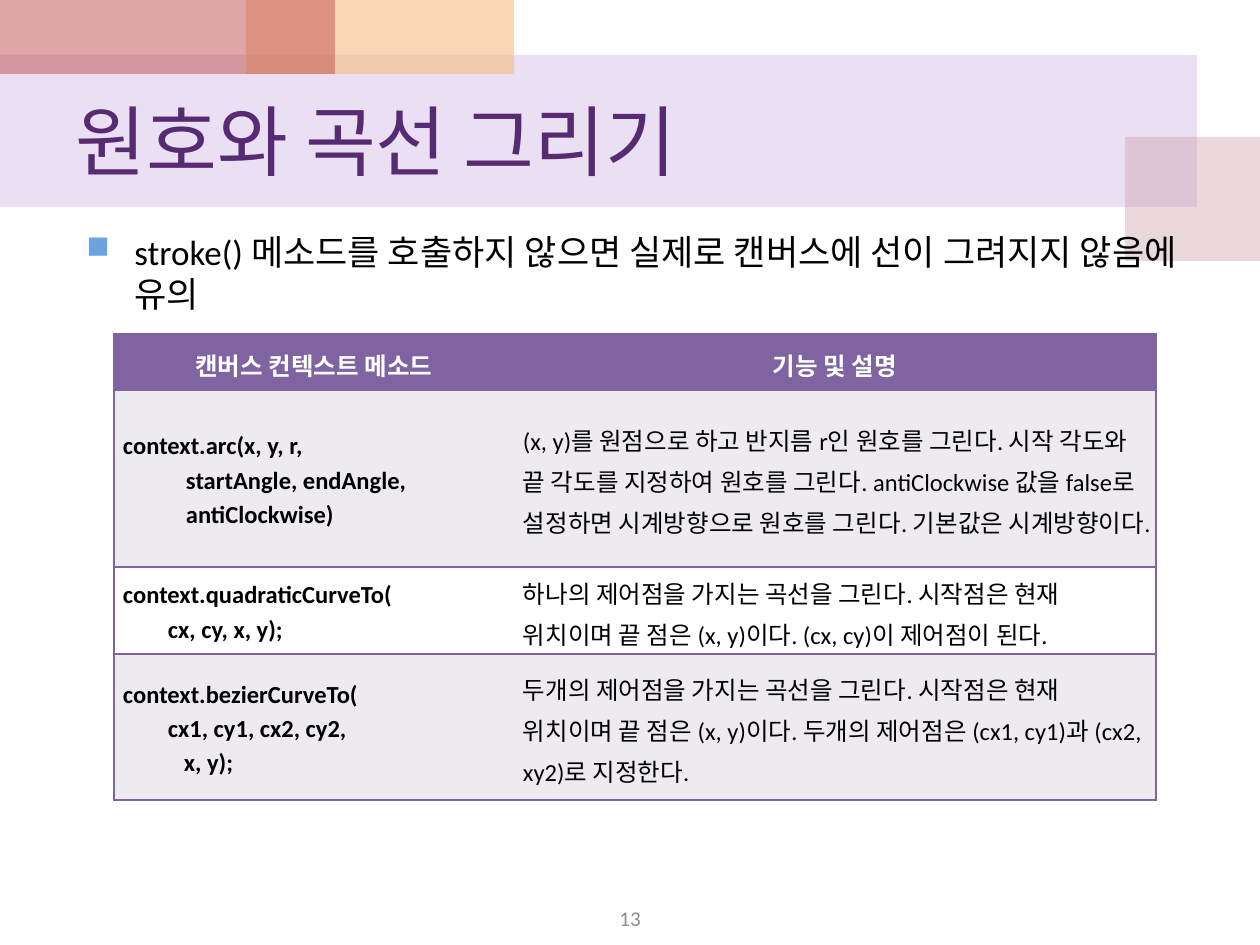
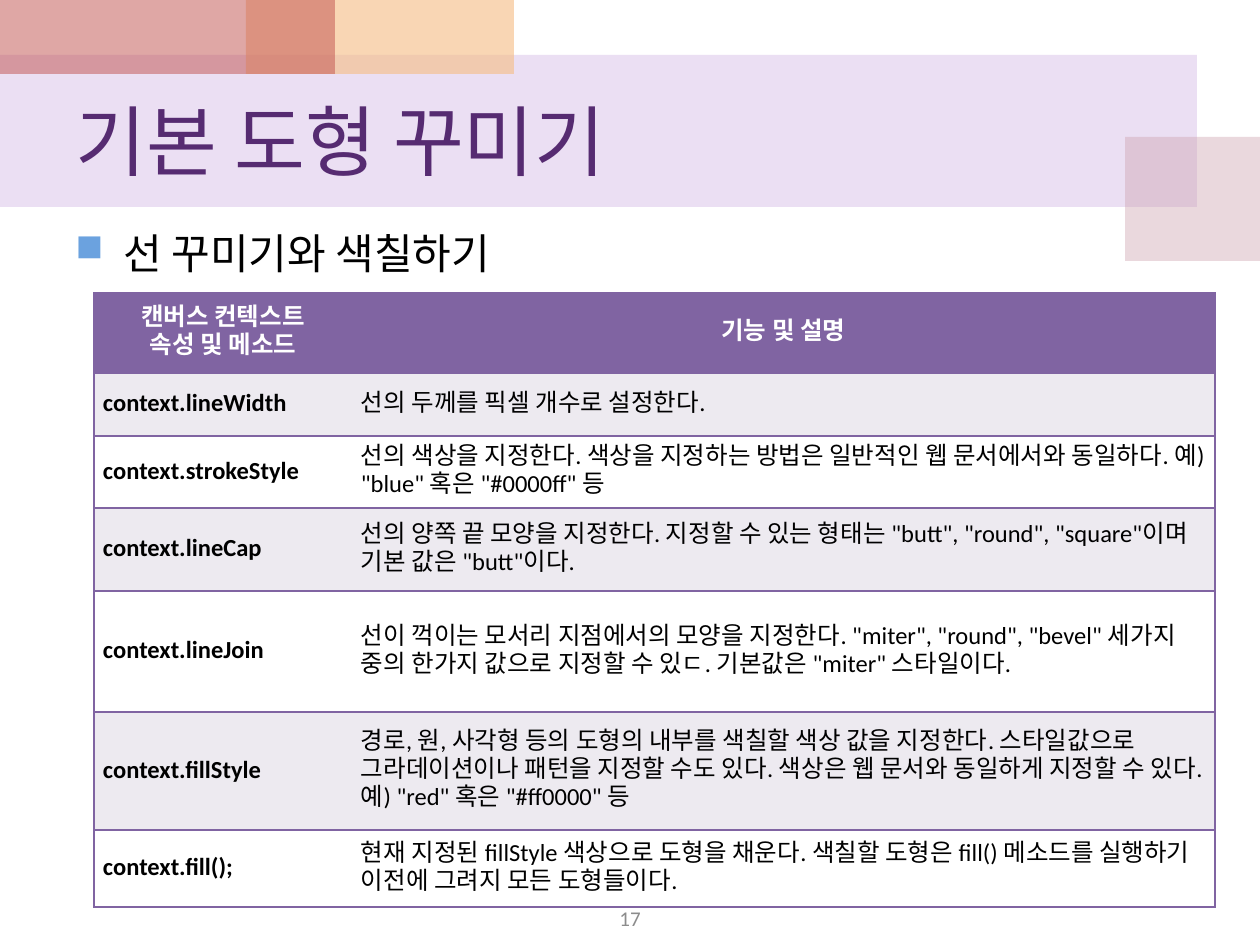
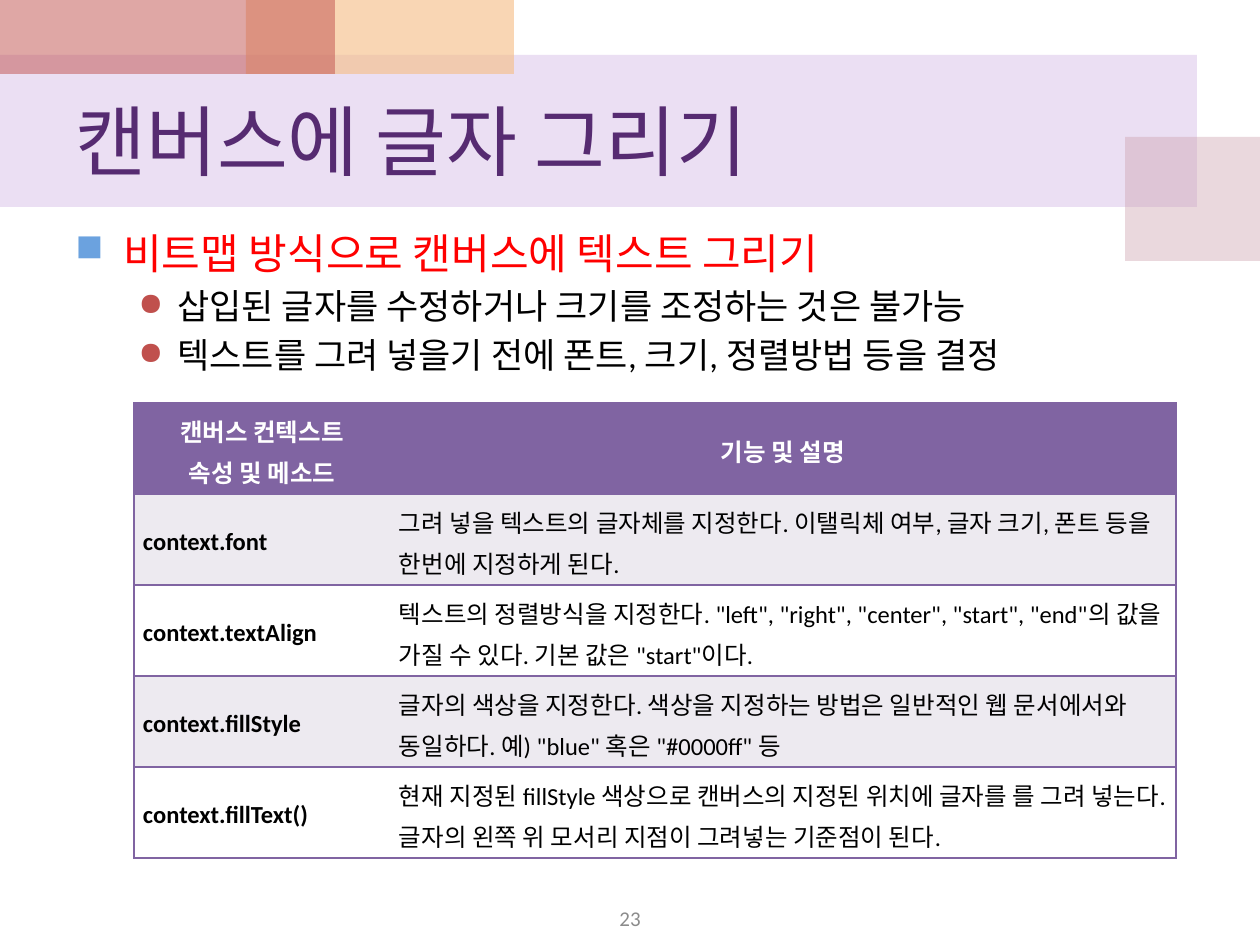
from dataclasses import dataclass

from lxml import etree
from pptx import Presentation
from pptx.dml.color import RGBColor
from pptx.enum.shapes import MSO_SHAPE
from pptx.enum.text import MSO_ANCHOR, PP_ALIGN
from pptx.oxml.ns import qn
from pptx.util import Emu, Pt

RECTANGLE = MSO_SHAPE.RECTANGLE
MIDDLE, TOP = MSO_ANCHOR.MIDDLE, MSO_ANCHOR.TOP
LEFT, CENTER = PP_ALIGN.LEFT, PP_ALIGN.CENTER
PX_PER_INCH = 126
SLIDE_SIZE = (1260, 945)
TITLE_BOX = (63, 74, 1134, 132)
PAGE_NUMBER_BOX = (483, 901, 294, 34)
PLAIN_TABLE_STYLE = "{2D5ABB26-0587-4C30-8999-92F81FD0307C}"


@dataclass(frozen=True)
class Theme:
    """Colours and type sizes shared by all slides."""
    font: str = "Calibri"
    title: str = "562B71"
    text: str = "000000"
    emphasis: str = "FF0000"
    page_number: str = "8C8C8C"
    square: str = "6BA2DF"
    dot: str = "C0504D"
    header: str = "8064A2"
    header_text: str = "FFFFFF"
    row_fills: tuple = ("EDEAF0", "FFFFFF")
    title_size: int = 44
    topic_size: int = 24
    detail_size: int = 20
    table_size: int = 14
    page_number_size: int = 12


THEME = Theme()
BANDS = [
    ((0, 55, 1197, 152), "BF98D8", 30),
    ((1125, 137, 135, 124), "CC9EAC", 40),
    ((246, 0, 268, 74), "F5BC83", 60),
    ((0, 0, 335, 74), "C0504D", 50),
]
BULLETS = [("■", THEME.square, 48, 48), ("●", THEME.dot, 102, 39)]


def px(length):
    """Turn pixels into EMU."""
    return Emu(round(length * 914400 / PX_PER_INCH))


def add_xml(parent, tag, **attributes):
    """Append a drawing element and return it."""
    return etree.SubElement(parent, qn(tag), attributes)


def style(paragraph, size, color, bold=False, align=LEFT):
    """Set the type of a paragraph."""
    font = paragraph.font
    font.name, font.size, font.bold = THEME.font, Pt(size), bold
    font.color.rgb = RGBColor.from_string(color)
    paragraph.alignment = align


def fill_paragraphs(frame, texts):
    """Write one paragraph per text and return the paragraphs."""
    frame.text = "\n".join(texts)
    return frame.paragraphs


def add_text_frame(slide, box, anchor):
    """Add a wrapping text box and return its frame."""
    frame = slide.shapes.add_textbox(*map(px, box)).text_frame
    frame.word_wrap = True
    frame.vertical_anchor = anchor
    return frame


def add_label(slide, box, text, size, color, align=LEFT):
    """Add a single vertically centred line of text."""
    frame = add_text_frame(slide, box, MIDDLE)
    style(fill_paragraphs(frame, [text])[0], size, color, align=align)


def add_bands(slide):
    """Draw the translucent bands behind the title."""
    for box, color, opacity in BANDS:
        band = slide.shapes.add_shape(RECTANGLE, *map(px, box))
        band.shadow.inherit = False
        band.line.fill.background()
        band.fill.solid()
        band.fill.fore_color.rgb = RGBColor.from_string(color)
        tint = band.element.spPr.find(".//" + qn("a:srgbClr"))
        add_xml(tint, "a:alpha", val=str(opacity * 1000))


def add_bullet(paragraph, level):
    """Give a paragraph the marker and indent of its level."""
    marker, color, margin, hanging = BULLETS[level]
    properties = paragraph._p.get_or_add_pPr()
    properties.set("marL", str(px(margin)))
    properties.set("indent", str(px(-hanging)))
    add_xml(add_xml(properties, "a:buClr"), "a:srgbClr", val=color)
    add_xml(properties, "a:buSzPct", val="90000")
    add_xml(properties, "a:buChar", char=marker)


def add_points(slide, box, points):
    """Write bulleted points given as text, level, size and colour."""
    frame = add_text_frame(slide, box, TOP)
    paragraphs = fill_paragraphs(frame, [point[0] for point in points])
    for paragraph, (_, level, size, color) in zip(paragraphs, points):
        paragraph.level = level
        add_bullet(paragraph, level)
        paragraph.space_before = Pt(size / 5)
        style(paragraph, size, color)


def add_borders(cell, sides):
    """Rule the given sides of a cell."""
    properties = cell._tc.get_or_add_tcPr()
    for side in sides:
        rule = add_xml(properties, f"a:ln{side}", w=str(Pt(1)))
        add_xml(add_xml(rule, "a:solidFill"), "a:srgbClr", val=THEME.header)


def fill_cell(cell, lines, fill, spacing, **type_style):
    """Fill a cell with lines given as text and first-line indent."""
    cell.vertical_anchor = MIDDLE
    cell.margin_left = cell.margin_right = px(9)
    cell.margin_top = cell.margin_bottom = 0
    cell.fill.solid()
    cell.fill.fore_color.rgb = RGBColor.from_string(fill)
    paragraphs = fill_paragraphs(cell.text_frame, [text for text, _ in lines])
    for paragraph, (_, indent) in zip(paragraphs, lines):
        paragraph.line_spacing = spacing
        paragraph._p.get_or_add_pPr().set("indent", str(px(indent)))
        style(paragraph, THEME.table_size, **type_style)


def add_method_table(slide, origin, widths, heights, rows, spacing):
    """Add a table of methods and descriptions under a header row."""
    box = (*origin, sum(widths), sum(heights))
    frame = slide.shapes.add_table(len(rows), len(widths), *map(px, box))
    frame.element.find(".//" + qn("a:tableStyleId")).text = PLAIN_TABLE_STYLE
    table = frame.table
    for column, width in zip(table.columns, widths):
        column.width = px(width)
    for index, (row, height, texts) in enumerate(zip(table.rows, heights, rows)):
        row.height = px(height)
        for cell, lines, sides, is_method in zip(
                row.cells, texts, ("LTB", "RTB"), (True, False)):
            add_borders(cell, sides)
            if index == 0:
                fill_cell(cell, lines, THEME.header, spacing,
                          color=THEME.header_text, bold=True, align=CENTER)
            else:
                fill_cell(cell, lines, THEME.row_fills[(index - 1) % 2], spacing,
                          color=THEME.text, bold=is_method)


def plain(*texts):
    """Return lines without indent."""
    return [(text, 0) for text in texts]


def plain_rows(*pairs):
    """Return table rows of a one-line method and its description."""
    return [(plain(method), plain(description)) for method, description in pairs]


def add_content_slide(presentation, title, number, points_origin, points, **table):
    """Add a slide with a title, points, a method table and a page number."""
    slide = presentation.slides.add_slide(presentation.slide_layouts[6])
    add_bands(slide)
    add_label(slide, TITLE_BOX, title, THEME.title_size, THEME.title)
    add_points(slide, (*points_origin, 1134, 624), points)
    add_label(slide, PAGE_NUMBER_BOX, number, THEME.page_number_size,
              THEME.page_number, CENTER)
    add_method_table(slide, **table)


DESCRIPTION_HEADER = plain("기능 및 설명")
PROPERTY_HEADER = (plain("캔버스 컨텍스트", "속성 및 메소드"), DESCRIPTION_HEADER)

CURVE_ROWS = [
    (plain("캔버스 컨텍스트 메소드"), DESCRIPTION_HEADER),
    ([("context.arc(x, y, r,", 0), ("startAngle, endAngle,", 63),
      ("antiClockwise)", 63)],
     plain("(x, y)를 원점으로 하고 반지름 r인 원호를 그린다. 시작 각도와 끝 각도를 "
           "지정하여 원호를 그린다. antiClockwise 값을 false로 설정하면 "
           "시계방향으로 원호를 그린다. 기본값은 시계방향이다.")),
    ([("context.quadraticCurveTo(", 0), ("cx, cy, x, y);", 45)],
     plain("하나의 제어점을 가지는 곡선을 그린다. 시작점은 현재 위치이며 "
           "끝 점은 (x, y)이다. (cx, cy)이 제어점이 된다.")),
    ([("context.bezierCurveTo(", 0), ("cx1, cy1, cx2, cy2,", 45), ("x, y);", 61)],
     plain("두개의 제어점을 가지는 곡선을 그린다. 시작점은 현재 위치이며 끝 점은 "
           "(x, y)이다. 두개의 제어점은 (cx1, cy1)과 (cx2, xy2)로 지정한다.")),
]

STYLE_ROWS = [PROPERTY_HEADER] + plain_rows(
    ("context.lineWidth", "선의 두께를 픽셀 개수로 설정한다."),
    ("context.strokeStyle",
     "선의 색상을 지정한다. 색상을 지정하는 방법은 일반적인 웹 문서에서와 "
     "동일하다. 예) \"blue\" 혹은 \"#0000ff\" 등"),
    ("context.lineCap",
     "선의 양쪽 끝 모양을 지정한다. 지정할 수 있는 형태는 \"butt\", \"round\", "
     "\"square\"이며 기본 값은 \"butt\"이다."),
    ("context.lineJoin",
     "선이 꺽이는 모서리 지점에서의 모양을 지정한다. \"miter\", \"round\", "
     "\"bevel\" 세가지 중의 한가지 값으로 지정할 수 있ㄷ. "
     "기본값은 \"miter\" 스타일이다."),
    ("context.fillStyle",
     "경로, 원, 사각형 등의 도형의 내부를 색칠할 색상 값을 지정한다. "
     "스타일값으로 그라데이션이나 패턴을 지정할 수도 있다. 색상은 웹 문서와 "
     "동일하게 지정할 수 있다. 예) \"red\" 혹은 \"#ff0000\" 등"),
    ("context.fill();",
     "현재 지정된 fillStyle 색상으로 도형을 채운다. 색칠할 도형은 fill() "
     "메소드를 실행하기 이전에 그려지 모든 도형들이다."),
)

LETTER_ROWS = [PROPERTY_HEADER] + plain_rows(
    ("context.font",
     "그려 넣을 텍스트의 글자체를 지정한다. 이탤릭체 여부, 글자 크기, 폰트 "
     "등을 한번에 지정하게 된다."),
    ("context.textAlign",
     "텍스트의 정렬방식을 지정한다. \"left\", \"right\", \"center\", \"start\", "
     "\"end\"의 값을 가질 수 있다. 기본 값은 \"start\"이다."),
    ("context.fillStyle",
     "글자의 색상을 지정한다. 색상을 지정하는 방법은 일반적인 웹 문서에서와 "
     "동일하다. 예) \"blue\" 혹은 \"#0000ff\" 등"),
    ("context.fillText()",
     "현재 지정된 fillStyle 색상으로 캔버스의 지정된 위치에 글자를 를 그려 "
     "넣는다. 글자의 왼쪽 위 모서리 지점이 그려넣는 기준점이 된다."),
)


def main():
    """Build and save the three slides."""
    presentation = Presentation()
    presentation.slide_width, presentation.slide_height = map(px, SLIDE_SIZE)
    add_content_slide(
        presentation, "원호와 곡선 그리기", "13", (74, 224),
        [("stroke() 메소드를 호출하지 않으면 실제로 캔버스에 선이 그려지지 "
          "않음에 유의", 0, THEME.detail_size, THEME.text)],
        origin=(114, 334), widths=(400, 642), heights=(56, 177, 87, 146),
        rows=CURVE_ROWS, spacing=1.15)
    add_content_slide(
        presentation, "기본 도형 꾸미기", "17", (63, 221),
        [("선 꾸미기와 색칠하기", 0, THEME.topic_size, THEME.text)],
        origin=(94, 293), widths=(258, 863),
        heights=(80, 63, 72, 83, 121, 118, 77),
        rows=STYLE_ROWS, spacing=Pt(16))
    add_content_slide(
        presentation, "캔버스에 글자 그리기", "23", (63, 221),
        [("비트맵 방식으로 캔버스에 텍스트 그리기", 0,
          THEME.topic_size, THEME.emphasis),
         ("삽입된 글자를 수정하거나 크기를 조정하는 것은 불가능", 1,
          THEME.detail_size, THEME.text),
         ("텍스트를 그려 넣을기 전에 폰트, 크기, 정렬방법 등을 결정", 1,
          THEME.detail_size, THEME.text)],
        origin=(134, 403), widths=(256, 786), heights=[91] * len(LETTER_ROWS),
        rows=LETTER_ROWS, spacing=1.15)
    presentation.save("out.pptx")


if __name__ == "__main__":
    main()
